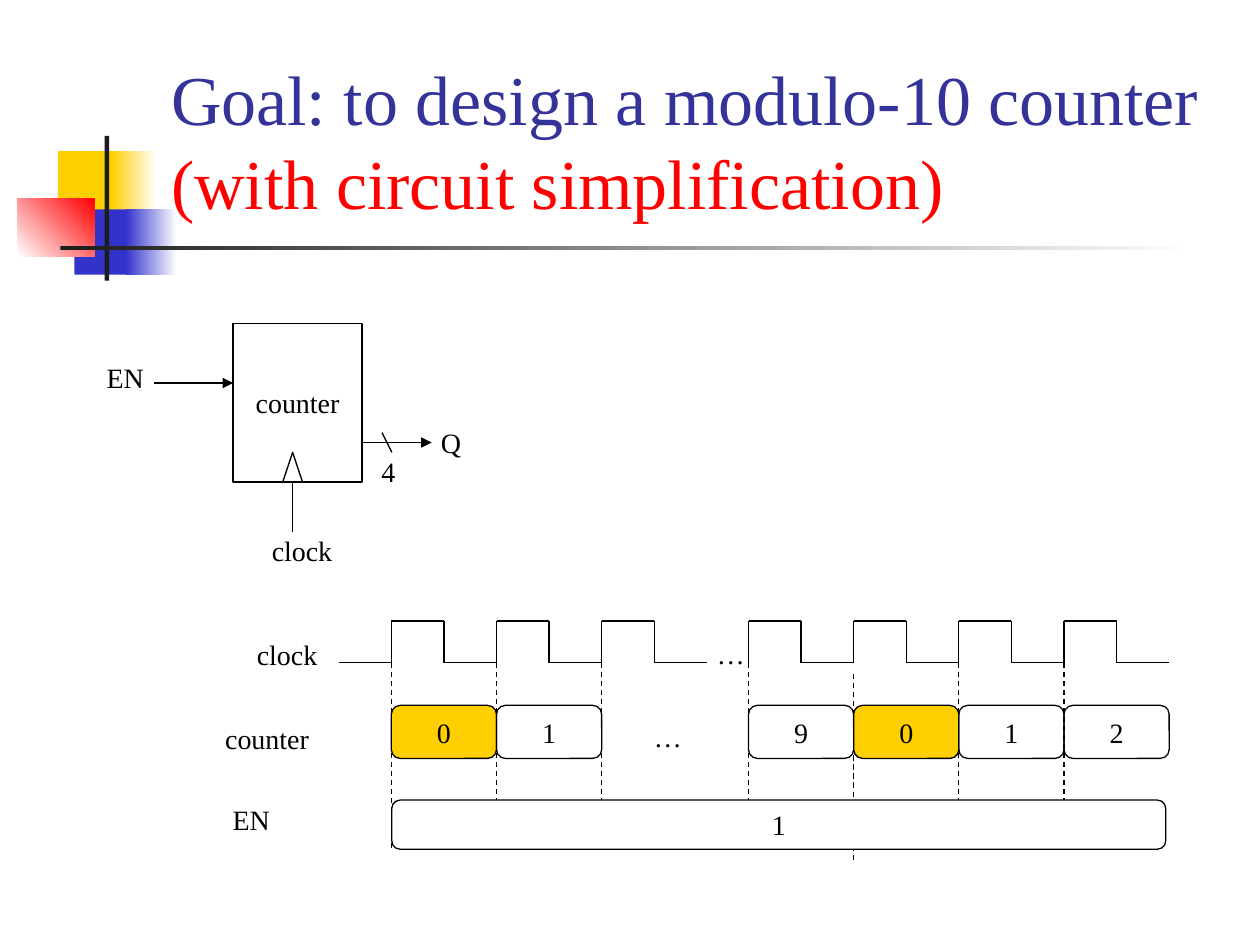
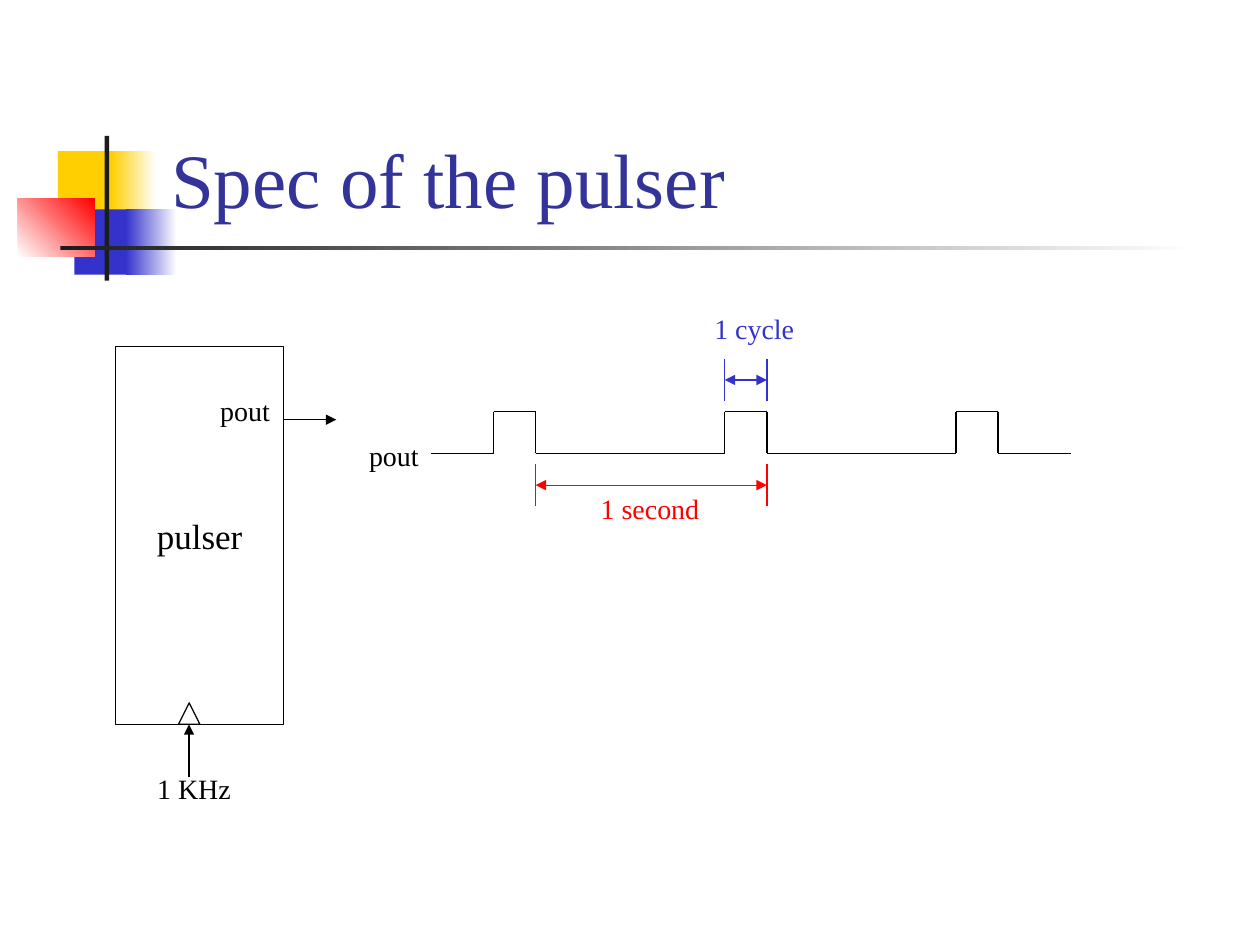
from dataclasses import dataclass

from lxml.etree import SubElement
from pptx import Presentation
from pptx.dml.color import RGBColor
from pptx.enum.dml import MSO_LINE
from pptx.enum.shapes import MSO_CONNECTOR, MSO_SHAPE
from pptx.enum.text import MSO_ANCHOR, MSO_AUTO_SIZE, PP_ALIGN
from pptx.oxml.ns import qn
from pptx.shapes.autoshape import Shape
from pptx.slide import Slide
from pptx.util import Cm, Pt

FONT = "Times New Roman"
BLACK, WHITE, RED = "000000", "FFFFFF", "FF0000"
YELLOW, BLUE, CHARCOAL, TITLE_BLUE = "FFCF01", "3333CC", "1C1C1C", "333399"
LABEL_HEIGHT = 0.94

Point = tuple[float, float]


@dataclass(frozen=True)
class Band:
    left: float
    top: float
    width: float
    height: float
    color: str
    end_color: str = ""
    angle: float = 0


@dataclass(frozen=True)
class Label:
    text: str
    left: float
    top: float
    width: float
    color: str = BLACK


@dataclass(frozen=True)
class Block:
    left: float
    top: float
    width: float
    height: float
    text: str = ""
    fill: str = ""
    kind: MSO_SHAPE = MSO_SHAPE.RECTANGLE
    size: int = 16


@dataclass(frozen=True)
class Dimension:
    """A two-way arrow between two upright end marks."""
    left: float
    right: float
    top: float
    bottom: float
    color: str


BANDS = (
    Band(1.17, 3.05, 1.22, 1.32, YELLOW),
    Band(2.24, 3.05, 0.91, 1.32, YELLOW, WHITE),
    Band(1.5, 4.22, 1.17, 1.32, BLUE),
    Band(2.54, 4.22, 1.02, 1.32, BLUE, WHITE),
    Band(0.36, 4.01, 1.55, 1.17, WHITE, RED, 45),
    Band(2.11, 2.74, 0.09, 2.92, CHARCOAL),
    Band(1.22, 4.95, 22.86, 0.09, CHARCOAL, WHITE),
)


def rgb(color: str) -> RGBColor:
    return RGBColor.from_string(color)


def add_run(paragraph, text: str, size: int, color: str) -> None:
    run = paragraph.add_run()
    run.text = text
    run.font.name = FONT
    run.font.size = Pt(size)
    run.font.color.rgb = rgb(color)


def add_plain_shape(slide: Slide, kind: MSO_SHAPE, left: float, top: float,
                    width: float, height: float) -> Shape:
    shape = slide.shapes.add_shape(kind, Cm(left), Cm(top), Cm(width), Cm(height))
    shape.shadow.inherit = False
    return shape


def add_band(slide: Slide, band: Band) -> None:
    shape = add_plain_shape(slide, MSO_SHAPE.RECTANGLE, band.left, band.top,
                            band.width, band.height)
    shape.line.fill.background()
    if band.end_color:
        shape.fill.gradient()
        shape.fill.gradient_angle = band.angle
        for stop, color in zip(shape.fill.gradient_stops, (band.color, band.end_color)):
            stop.color.rgb = rgb(color)
    else:
        shape.fill.solid()
        shape.fill.fore_color.rgb = rgb(band.color)


def add_block(slide: Slide, block: Block) -> None:
    shape = add_plain_shape(slide, block.kind, block.left, block.top,
                            block.width, block.height)
    if block.fill:
        shape.fill.solid()
        shape.fill.fore_color.rgb = rgb(block.fill)
    else:
        shape.fill.background()
    shape.line.color.rgb = rgb(BLACK)
    shape.line.width = Pt(0.75)
    if block.text:
        text_frame = shape.text_frame
        text_frame.word_wrap = False
        text_frame.vertical_anchor = MSO_ANCHOR.MIDDLE
        paragraph = text_frame.paragraphs[0]
        paragraph.alignment = PP_ALIGN.CENTER
        add_run(paragraph, block.text, block.size, BLACK)


def add_label(slide: Slide, label: Label) -> None:
    box = slide.shapes.add_textbox(Cm(label.left), Cm(label.top),
                                   Cm(label.width), Cm(LABEL_HEIGHT))
    box.text_frame.word_wrap = False
    box.text_frame.auto_size = MSO_AUTO_SIZE.SHAPE_TO_FIT_TEXT
    add_run(box.text_frame.paragraphs[0], label.text, 16, label.color)


def add_line(slide: Slide, start: Point, end: Point, color: str = BLACK,
             dashed: bool = False, arrows: tuple[str, ...] = ()) -> None:
    """Draw a line; arrows may hold "headEnd" (at start) and "tailEnd" (at end)."""
    connector = slide.shapes.add_connector(
        MSO_CONNECTOR.STRAIGHT, *(Cm(value) for value in start + end))
    connector.line.color.rgb = rgb(color)
    connector.line.width = Pt(0.75)
    if dashed:
        connector.line.dash_style = MSO_LINE.DASH
    properties = connector._element.spPr
    for arrow in arrows:
        SubElement(properties.find(qn("a:ln")), qn(f"a:{arrow}"), type="triangle")
    SubElement(properties, qn("a:effectLst"))


def add_pulses(slide: Slide, start: float, rises: list[float], width: float,
               end: float, low: float, high: float) -> None:
    """Draw a square wave from start to end with one pulse at each rise."""
    corners = [(start, low)]
    for rise in rises:
        fall = rise + width
        corners += [(rise, low), (rise, high), (fall, high), (fall, low)]
    corners.append((end, low))
    for first, second in zip(corners, corners[1:]):
        if first != second:
            add_line(slide, first, second)


def add_dimension(slide: Slide, dimension: Dimension) -> None:
    for x in (dimension.left, dimension.right):
        add_line(slide, (x, dimension.top), (x, dimension.bottom), dimension.color)
    middle = (dimension.top + dimension.bottom) / 2
    add_line(slide, (dimension.left, middle), (dimension.right, middle),
             dimension.color, arrows=("headEnd", "tailEnd"))


def add_titled_slide(presentation, size: int, title_parts: dict[str, str]) -> Slide:
    """Add a slide with the shared bands and a title given as text: colour."""
    slide = presentation.slides.add_slide(presentation.slide_layouts[6])
    for band in BANDS:
        add_band(slide, band)
    title = slide.shapes.add_textbox(Cm(3.2), Cm(0.58), Cm(21.64), Cm(4.06))
    title.text_frame.word_wrap = True
    title.text_frame.vertical_anchor = MSO_ANCHOR.BOTTOM
    for text, color in title_parts.items():
        add_run(title.text_frame.paragraphs[0], text, size, color)
    return slide


def draw_counter_symbol(slide: Slide) -> None:
    add_block(slide, Block(4.7, 6.52, 2.6, 3.2, "counter"))
    add_block(slide, Block(5.7, 9.12, 0.4, 0.6, kind=MSO_SHAPE.ISOSCELES_TRIANGLE))
    add_line(slide, (5.9, 10.72), (5.9, 9.72))
    add_line(slide, (7.3, 8.92), (8.7, 8.92), arrows=("tailEnd",))
    add_line(slide, (7.7, 8.72), (7.9, 9.12))
    add_line(slide, (3.1, 7.72), (4.7, 7.72), arrows=("tailEnd",))
    for label in (Label("clock", 5.23, 10.64, 1.73), Label("4", 7.44, 9.04, 0.79),
                  Label("Q", 8.64, 8.46, 0.91), Label("EN", 1.9, 7.14, 1.27)):
        add_label(slide, label)


def draw_counter_timing(slide: Slide) -> None:
    period, low, high = 2.12, 13.36, 12.52
    first_rises = [7.89 + period * index for index in range(3)]
    later_rises = [15.09 + period * index for index in range(4)]
    wrap_rise = later_rises[1]
    for start, rises in ((6.83, first_rises), (later_rises[0], later_rises)):
        add_pulses(slide, start, rises, period / 2, rises[-1] + period, low, high)
    for rise in first_rises + later_rises:
        top = low + (0.23 if rise == wrap_rise else 0)
        add_line(slide, (rise, top), (rise, top + 3.81), dashed=True)
    for left, count in zip(first_rises[:2] + later_rises, "019012"):
        add_block(slide, Block(left, 14.22, period, 1.07, count,
                               YELLOW if count == "0" else "",
                               MSO_SHAPE.ROUNDED_RECTANGLE))
    add_block(slide, Block(7.9, 16.13, 15.6, 0.99, "1", WHITE,
                           MSO_SHAPE.ROUNDED_RECTANGLE))
    for label in (Label("clock", 4.93, 12.73, 1.73), Label("counter", 4.29, 14.43, 2.21),
                  Label("EN", 4.44, 16.05, 1.27), Label("…", 14.2, 12.7, 1.07),
                  Label("…", 12.93, 14.38, 1.07)):
        add_label(slide, label)


def draw_pulser_symbol(slide: Slide) -> None:
    add_block(slide, Block(2.33, 6.98, 3.39, 7.62, "pulser", size=20))
    add_block(slide, Block(3.6, 14.17, 0.43, 0.43, kind=MSO_SHAPE.ISOSCELES_TRIANGLE))
    add_line(slide, (5.72, 8.46), (6.78, 8.46), arrows=("tailEnd",))
    add_line(slide, (3.81, 15.67), (3.81, 14.6), arrows=("tailEnd",))
    add_label(slide, Label("pout", 4.19, 7.8, 1.52))
    add_label(slide, Label("1 KHz", 2.92, 15.42, 2.01))


def draw_pulser_timing(slide: Slide) -> None:
    period, width = 4.66, 0.85
    rises = [9.95 + period * index for index in range(3)]
    falls = [rise + width for rise in rises]
    add_pulses(slide, 8.68, rises, width, 21.59, 9.14, 8.3)
    add_dimension(slide, Dimension(rises[1], falls[1], 7.24, 8.08, BLUE))
    add_dimension(slide, Dimension(falls[0], falls[1], 9.35, 10.21, RED))
    for label in (Label("pout", 7.19, 8.71, 1.52), Label("1 cycle", 14.15, 6.15, 2.13, BLUE),
                  Label("1 second", 11.86, 9.78, 2.51, RED)):
        add_label(slide, label)


def main() -> None:
    presentation = Presentation()
    presentation.slide_width, presentation.slide_height = Cm(25.4), Cm(19.05)

    counter_slide = add_titled_slide(presentation, 40, {
        "Goal: to design a modulo-10 counter ": TITLE_BLUE,
        "(with circuit simplification)": RED,
    })
    draw_counter_symbol(counter_slide)
    draw_counter_timing(counter_slide)

    pulser_slide = add_titled_slide(presentation, 44, {"Spec of the pulser": TITLE_BLUE})
    draw_pulser_symbol(pulser_slide)
    draw_pulser_timing(pulser_slide)

    presentation.save("out.pptx")


if __name__ == "__main__":
    main()
